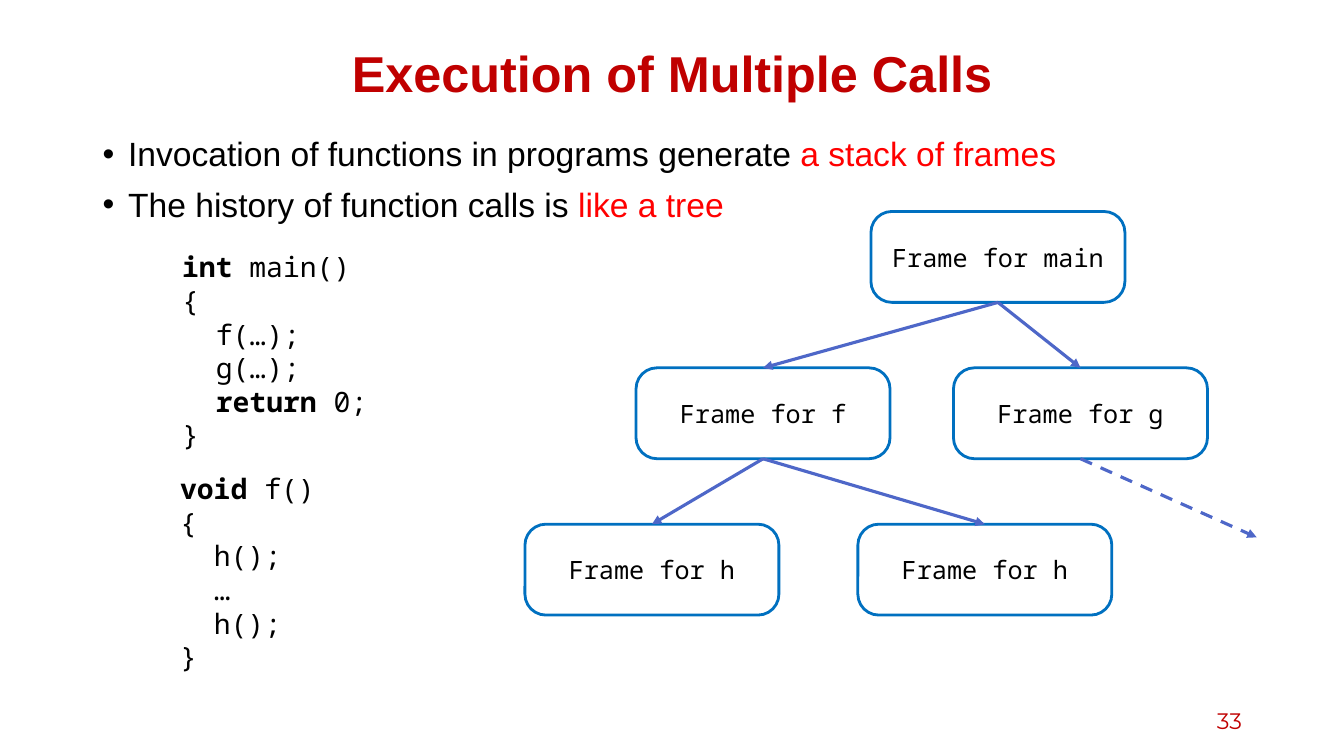
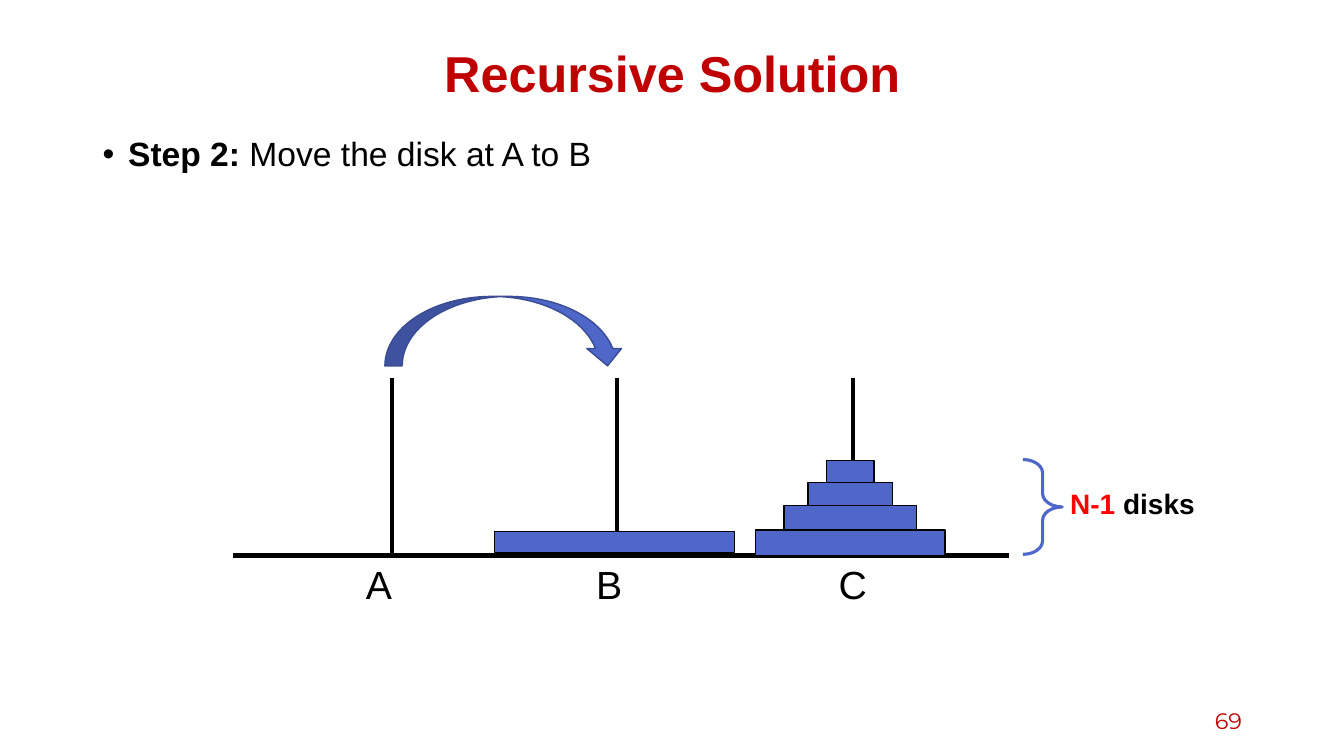
from lxml import etree
from pptx import Presentation
from pptx import util as u
from pptx.dml.color import RGBColor
from pptx.enum import dml, shapes, text
from pptx.oxml.ns import qn

BLACK, RED, TITLE_RED = "000000", "FF0000", "C00000"
BLUE, DARK_BLUE, FRAME_BLUE = "4E67C8", "3A4C94", "0070C0"
SANS, MONO, NUMBER_FONT = "Arial", "Noto Sans Mono", "Montserrat"
LEFT, CENTER, RIGHT = text.PP_ALIGN.LEFT, text.PP_ALIGN.CENTER, text.PP_ALIGN.RIGHT

# Runs are (text, colour, bold); a paragraph is a list of runs. Lengths are centimetres.
CALLS = {
    "title": "Execution of Multiple Calls",
    "number": "33",
    "bullets": [
        [("Invocation of functions in programs generate ", BLACK, False),
         ("a stack of frames", RED, False)],
        [("The history of function calls is ", BLACK, False),
         ("like a tree", RED, False)],
    ],
}
SOLUTION = {
    "title": "Recursive Solution",
    "number": "69",
    "bullets": [[("Step 2: ", BLACK, True), ("Move the disk at A to B", BLACK, False)]],
}

# Listing: box, then lines of (indent level, keyword, rest)
LISTINGS = [
    ((4.34, 6.17, 7.29, 5.38), [
        (0, "int", " main()"), (0, "", "{"), (1, "", "f(…);"), (1, "", "g(…);"),
        (1, "return", " 0;"), (0, "", "}")]),
    ((4.29, 11.76, 5.87, 5.38), [
        (0, "void", " f()"), (0, "", "{"), (1, "", "h();"), (1, "", "…"),
        (1, "", "h();"), (0, "", "}")]),
]
CODE_INDENT = 0.85

# Frame: key, label, left, tree level
FRAMES = [
    ("main", "Frame for main", 21.95, 0),
    ("f", "Frame for f", 16.03, 1),
    ("g", "Frame for g", 24.03, 1),
    ("first h", "Frame for h", 13.23, 2),
    ("second h", "Frame for h", 21.62, 2),
]
FRAME_CALLS = [("main", "f"), ("main", "g"), ("f", "first h"), ("f", "second h")]
FRAME_WIDTH, FRAME_HEIGHT = 6.4, 2.29
TREE_TOP, TREE_STEP = 5.33, 3.94
OPEN_CALL_END = (31.67, 13.54)

# Peg: label, peg centre, label centre
PEGS = [("A", 9.88, 9.55), ("B", 15.54, 15.35), ("C", 21.49, 21.49)]
PEG_TOP, BASE = 9.52, 14.0
BASE_LEFT, BASE_RIGHT = 5.87, 25.43
# Stack: centre, bottom, disks of (width, height) from the bottom up
STACKS = [
    (15.49, 13.92, [(6.05, 0.53)]),
    (21.43, BASE, [(4.78, 0.64), (3.35, 0.62), (2.13, 0.58), (1.19, 0.56)]),
]


def color(value):
    return RGBColor.from_string(value)


def cm(lengths):
    return [u.Cm(length) for length in lengths]


def write(shape, paragraphs, font, size, align=LEFT, anchor=text.MSO_ANCHOR.TOP):
    """Fill a shape with paragraphs of runs and return its paragraphs."""
    frame = shape.text_frame
    frame.word_wrap = True
    frame.vertical_anchor = anchor
    for index, runs in enumerate(paragraphs):
        paragraph = frame.paragraphs[0] if index == 0 else frame.add_paragraph()
        paragraph.alignment = align
        for words, run_color, bold in runs:
            run = paragraph.add_run()
            run.text = words
            run.font.name = font
            run.font.size = u.Pt(size)
            run.font.bold = bold
            run.font.color.rgb = color(run_color)
    return frame.paragraphs


def add_text(slide, box, paragraphs, font, size, **layout):
    return write(slide.shapes.add_textbox(*cm(box)), paragraphs, font, size, **layout)


def add_shape(slide, kind, box, line, width, fill=None):
    shape = slide.shapes.add_shape(kind, *cm(box))
    shape.shadow.inherit = False
    shape.line.color.rgb = color(line)
    shape.line.width = u.Pt(width)
    if fill:
        shape.fill.solid()
        shape.fill.fore_color.rgb = color(fill)
    else:
        shape.fill.background()
    return shape


def add_line(slide, start, end, line, width):
    connector = slide.shapes.add_connector(
        shapes.MSO_CONNECTOR.STRAIGHT, *cm(start), *cm(end))
    connector.line.color.rgb = color(line)
    connector.line.width = u.Pt(width)
    etree.SubElement(connector._element.spPr, qn("a:effectLst"))
    return connector


def add_call_arrow(slide, caller, callee=None, end=(0, 0)):
    """Arrow from a frame to the one it calls, or dashed to a free end."""
    arrow = add_line(slide, (0, 0), end, BLUE, 2.25)
    arrow.begin_connect(caller, 2)
    if callee is not None:
        arrow.end_connect(callee, 0)
    else:
        arrow.line.dash_style = dml.MSO_LINE.DASH
    etree.SubElement(arrow.line._get_or_add_ln(), qn("a:tailEnd"), type="triangle")


def set_indent(paragraph, left, first=0):
    properties = paragraph._p.get_or_add_pPr()
    properties.set("marL", str(u.Cm(left)))
    properties.set("indent", str(u.Cm(first)))
    return properties


def add_base_slide(presentation, content):
    """Slide with the shared title, bullets and slide number."""
    slide = presentation.slides.add_slide(presentation.slide_layouts[6])
    middle = text.MSO_ANCHOR.MIDDLE
    title = add_text(slide, (2.34, 1.02, 29.21, 1.78), [[(content["title"], TITLE_RED, True)]],
                     SANS, 36, align=CENTER, anchor=middle)
    title[0].line_spacing = 0.9
    for paragraph in add_text(slide, (2.34, 3.35, 29.21, 14), content["bullets"], SANS, 24):
        paragraph.line_spacing = 0.9
        paragraph.space_before = u.Pt(10)
        properties = set_indent(paragraph, 0.64, -0.64)
        etree.SubElement(properties, qn("a:buFont"), typeface=SANS)
        etree.SubElement(properties, qn("a:buChar"), char="•")
    add_text(slide, (23.93, 17.65, 7.62, 1.02), [[(content["number"], TITLE_RED, False)]],
             NUMBER_FONT, 16, align=RIGHT, anchor=middle)
    return slide


def build_calls(presentation):
    slide = add_base_slide(presentation, CALLS)
    frames = {}
    for key, label, left, level in FRAMES:
        box = (left, TREE_TOP + level * TREE_STEP, FRAME_WIDTH, FRAME_HEIGHT)
        frame = add_shape(slide, shapes.MSO_SHAPE.ROUNDED_RECTANGLE, box, FRAME_BLUE, 2)
        frame.adjustments[0] = 0.23
        write(frame, [[(label, BLACK, False)]], MONO, 18, align=CENTER,
              anchor=text.MSO_ANCHOR.MIDDLE)
        frames[key] = frame
    for caller, callee in FRAME_CALLS:
        add_call_arrow(slide, frames[caller], frames[callee])
    add_call_arrow(slide, frames["g"], end=OPEN_CALL_END)

    for box, lines in LISTINGS:
        runs = [[(words, BLACK, bold) for words, bold in ((keyword, True), (rest, False)) if words]
                for _, keyword, rest in lines]
        paragraphs = add_text(slide, box, runs, MONO, 20)
        for paragraph, (level, _, _) in zip(paragraphs, lines):
            set_indent(paragraph, level * CODE_INDENT)


def build_solution(presentation):
    slide = add_base_slide(presentation, SOLUTION)
    add_line(slide, (BASE_LEFT, BASE), (BASE_RIGHT, BASE), BLACK, 3)
    for label, center, label_center in PEGS:
        add_line(slide, (center, PEG_TOP), (center, BASE), BLACK, 3)
        add_text(slide, (label_center - 0.75, 14, 1.5, 1.45), [[(label, BLACK, False)]],
                 SANS, 28, align=CENTER)
    for center, top, disks in STACKS:
        for width, height in disks:
            top -= height
            add_shape(slide, shapes.MSO_SHAPE.RECTANGLE,
                      (center - width / 2, top, width, height), BLACK, 1, BLUE)
    add_shape(slide, shapes.MSO_SHAPE.CURVED_DOWN_ARROW, (9.7, 7.47, 6.05, 1.75),
              DARK_BLUE, 1, BLUE)
    brace = add_shape(slide, shapes.MSO_SHAPE.RIGHT_BRACE, (25.78, 11.58, 0.99, 2.39), BLUE, 2.25)
    brace.adjustments[0] = 0.34
    add_text(slide, (26.72, 12.14, 4.04, 1.12),
             [[("N-1", RED, True), (" disks", BLACK, True)]], SANS, 20)


def main():
    presentation = Presentation()
    presentation.slide_width, presentation.slide_height = u.Cm(33.87), u.Cm(19.05)
    build_calls(presentation)
    build_solution(presentation)
    presentation.save("out.pptx")


if __name__ == "__main__":
    main()
